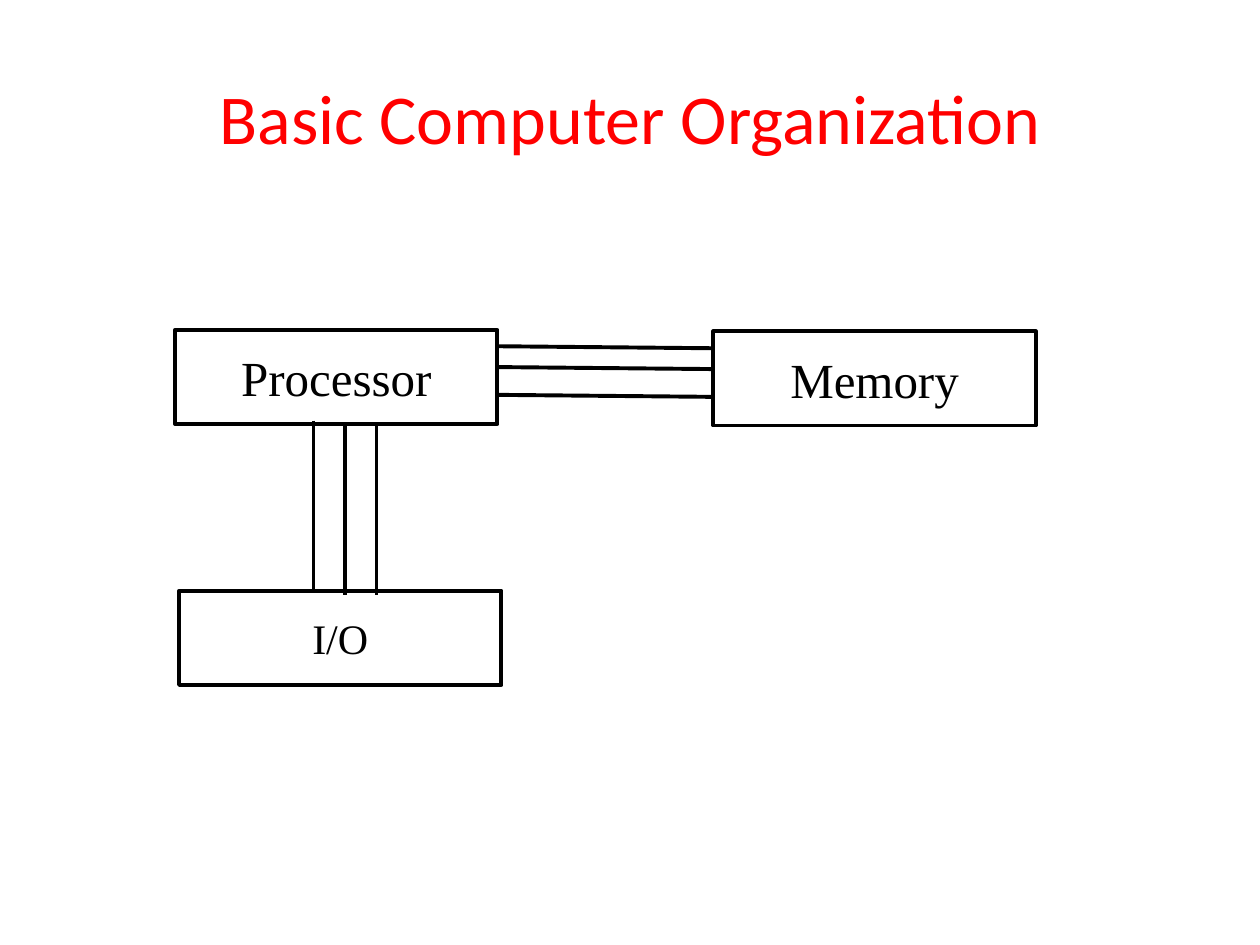
from lxml import etree
from pptx import Presentation
from pptx.dml.color import RGBColor
from pptx.enum.shapes import MSO_CONNECTOR, MSO_SHAPE
from pptx.enum.text import MSO_ANCHOR, PP_ALIGN
from pptx.oxml.ns import qn
from pptx.util import Cm, Pt

RECT = MSO_SHAPE.RECTANGLE
STRAIGHT = MSO_CONNECTOR.STRAIGHT
MIDDLE = MSO_ANCHOR.MIDDLE
CENTER = PP_ALIGN.CENTER

COLORS = {"title": "FF0000", "ink": "000000"}
LINE_WIDTH = Pt(2.25)
BOX_WIDTH, BOX_HEIGHT = 6.5, 1.9

BOXES = [
    ("Processor", 3.53, 6.65, 28),
    ("I/O", 3.61, 11.91, 24),
    ("Memory", 14.38, 6.68, 28),
]
MEMORY_BUS_TOPS = [6.98, 7.4, 7.96]
MEMORY_BUS_DROP = 0.04
IO_BUS = [(6.32, 8.48, 11.91), (6.96, 8.53, 11.99), (7.59, 8.56, 11.99)]


def format_text(tf, text, font, size, color):
    tf.text = text
    tf.vertical_anchor = MIDDLE
    p = tf.paragraphs[0]
    p.alignment = CENTER
    p.font.name = font
    p.font.size = Pt(size)
    p.font.color.rgb = RGBColor.from_string(COLORS[color])


def format_line(line):
    line.color.rgb = RGBColor.from_string(COLORS["ink"])
    line.width = LINE_WIDTH


def set_title(slide, text):
    sp = slide.shapes.title
    sp.left, sp.top, sp.width, sp.height = Cm(1.27), Cm(0.76), Cm(22.86), Cm(3.18)
    format_text(sp.text_frame, text, "Calibri", 40, "title")


def add_box(slide, text, left, top, size):
    sp = slide.shapes.add_shape(RECT, Cm(left), Cm(top), Cm(BOX_WIDTH), Cm(BOX_HEIGHT))
    sp.shadow.inherit = False
    sp.fill.background()
    format_line(sp.line)
    sp.text_frame.word_wrap = False
    format_text(sp.text_frame, text, "Times New Roman", size, "ink")


def add_line(slide, x1, y1, x2, y2):
    cxn = slide.shapes.add_connector(STRAIGHT, Cm(x1), Cm(y1), Cm(x2), Cm(y2))
    format_line(cxn.line)
    etree.SubElement(cxn._element.spPr, qn("a:effectLst"))


def main():
    prs = Presentation()
    prs.slide_width, prs.slide_height = Cm(25.4), Cm(19.05)
    slide = prs.slides.add_slide(prs.slide_layouts[5])
    set_title(slide, "Basic Computer Organization")
    for box in BOXES:
        add_box(slide, *box)
    for y in MEMORY_BUS_TOPS:
        add_line(slide, 14.35, y + MEMORY_BUS_DROP, 10.06, y)
    for x, top, bottom in IO_BUS:
        add_line(slide, x, top, x, bottom)
    prs.save("out.pptx")


if __name__ == "__main__":
    main()
